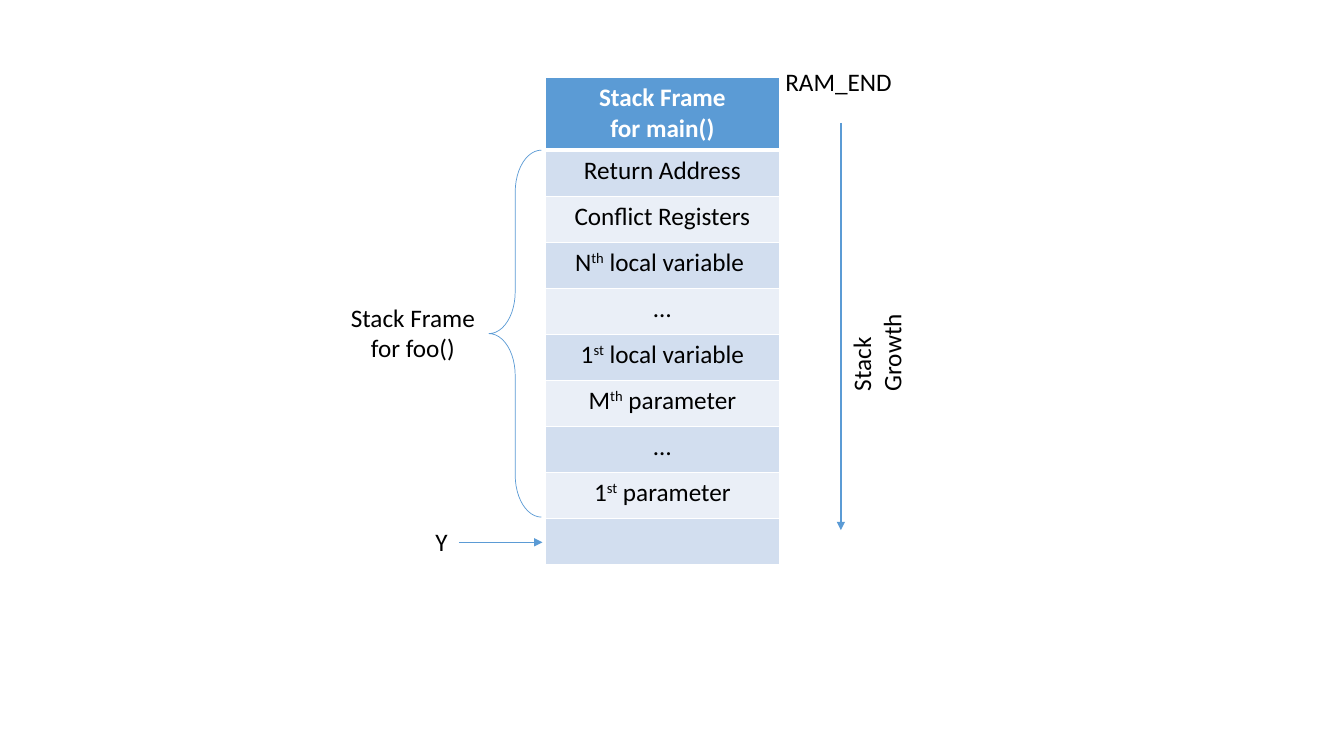
from lxml import etree
from pptx import Presentation
from pptx.dml.color import RGBColor
from pptx.enum import shapes, text
from pptx.oxml.ns import qn
from pptx.util import Inches, Pt

BLUE, WHITE, BLACK = "5B9BD5", "FFFFFF", "000000"
BANDS = ("D2DEEF", "EAEFF7")
FRAME_ROWS = ["Return Address", "Conflict Registers", "N^th^ local variable ", "…",
              "1^st^ local variable", "M^th^ parameter", "…", "1^st^ parameter", ""]


def rgb(color):
    """Turn a hex string into a colour."""
    return RGBColor.from_string(color)


def write(frame, lines, color=BLACK, bold=False, align=None):
    """Fill a text frame with lines, raising the parts between carets."""
    for number, line in enumerate(lines):
        para = frame.add_paragraph() if number else frame.paragraphs[0]
        para.alignment = align
        para.font.size = Pt(18)
        for part, words in enumerate(line.split("^") if line else []):
            span = para.add_run()
            span.text = words
            span.font.size, span.font.name = Pt(18), "Calibri"
            span.font.bold, span.font.color.rgb = bold, rgb(color)
            if part % 2:
                span._r.get_or_add_rPr().set("baseline", "30000")


def border(cell, widths):
    """Draw white cell borders; widths maps sides to points."""
    props = cell._tc.get_or_add_tcPr()
    for position, (side, width) in enumerate(widths.items()):
        line = etree.Element(qn(f"a:ln{side}"), w=str(Pt(width)))
        fill = etree.SubElement(line, qn("a:solidFill"))
        etree.SubElement(fill, qn("a:srgbClr"), val=WHITE)
        props.insert(position, line)


def label(page, left, top, width, height, lines, align=None):
    """Add a text box that grows with its text."""
    box = page.shapes.add_textbox(*map(Inches, (left, top, width, height)))
    box.text_frame.word_wrap = True
    box.text_frame.auto_size = text.MSO_AUTO_SIZE.SHAPE_TO_FIT_TEXT
    write(box.text_frame, lines, align=align)
    return box


def arrow(page, start, end, width):
    """Add a blue arrow between two points."""
    line = page.shapes.add_connector(shapes.MSO_CONNECTOR.STRAIGHT,
                                     *map(Inches, (*start, *end)))
    line.line.color.rgb, line.line.width = rgb(BLUE), Pt(width)
    etree.SubElement(line.line._get_or_add_ln(), qn("a:tailEnd"), type="triangle")
    etree.SubElement(line._element.spPr, qn("a:effectLst"))


def stack_table(page, left, top, width, height):
    """Draw the memory stack with its header and banded rows."""
    header = 0.72
    table = page.shapes.add_table(len(FRAME_ROWS) + 1, 1,
                                  *map(Inches, (left, top, width, height))).table
    table.first_row = table.horz_banding = False
    for number in range(len(FRAME_ROWS) + 1):
        cell = table.cell(number, 0)
        is_header = number == 0
        table.rows[number].height = Inches(
            header if is_header else (height - header) / len(FRAME_ROWS))
        lines = ["Stack Frame", "for main()"] if is_header else [FRAME_ROWS[number - 1]]
        write(cell.text_frame, lines, WHITE if is_header else BLACK, is_header,
              text.PP_ALIGN.CENTER)
        cell.fill.solid()
        cell.fill.fore_color.rgb = rgb(BLUE if is_header else BANDS[(number - 1) % 2])
        border(cell, {"L": 1, "R": 1, "T": 3 if number == 1 else 1,
                      "B": 3 if is_header else 1})


def foo_frame(page, left, top, width, height):
    """Mark the rows of foo() with a brace and a label, and point Y below them."""
    right, pointer = left + width, top + height + 0.25
    brace = page.shapes.add_shape(shapes.MSO_SHAPE.LEFT_BRACE,
                                  *map(Inches, (right - 0.52, top, 0.52, height)))
    brace.shadow.inherit = False
    brace.adjustments[0], brace.adjustments[1] = 0.8, 0.5
    brace.fill.background()
    brace.line.color.rgb, brace.line.width = rgb(BLUE), Pt(0.5)
    label(page, left, top + height / 2 - 0.36, 1.79, 0.71,
          ["Stack Frame", "for foo()"], text.PP_ALIGN.CENTER)
    arrow(page, (right - 0.82, pointer), (right + 0.01, pointer), 0.5)
    label(page, right - 1.15, pointer - 0.21, 0.33, 0.4, ["Y"])


def growth(page, left, top, width, height):
    """Show the end of memory and the direction of stack growth."""
    middle = left + width / 2
    label(page, left, top, width, 0.4, ["RAM_END"])
    arrow(page, (middle, top + 0.61), (middle, top + height), 1)
    caption = label(page, middle, top + 1.89, 0.5, 1.48, ["Stack Growth"])
    caption.rotation = 180
    caption.text_frame._txBody.bodyPr.set("vert", "eaVert")


def main():
    """Build and save the stack slide."""
    deck = Presentation()
    deck.slide_width, deck.slide_height = Inches(13.33), Inches(7.5)
    page = deck.slides.add_slide(deck.slide_layouts[6])
    stack_table(page, 5.41, 0.77, 2.32, 4.83)
    foo_frame(page, 3.2, 1.49, 2.17, 3.64)
    growth(page, 7.69, 0.61, 1.3, 4.65)
    deck.save("out.pptx")


if __name__ == "__main__":
    main()
